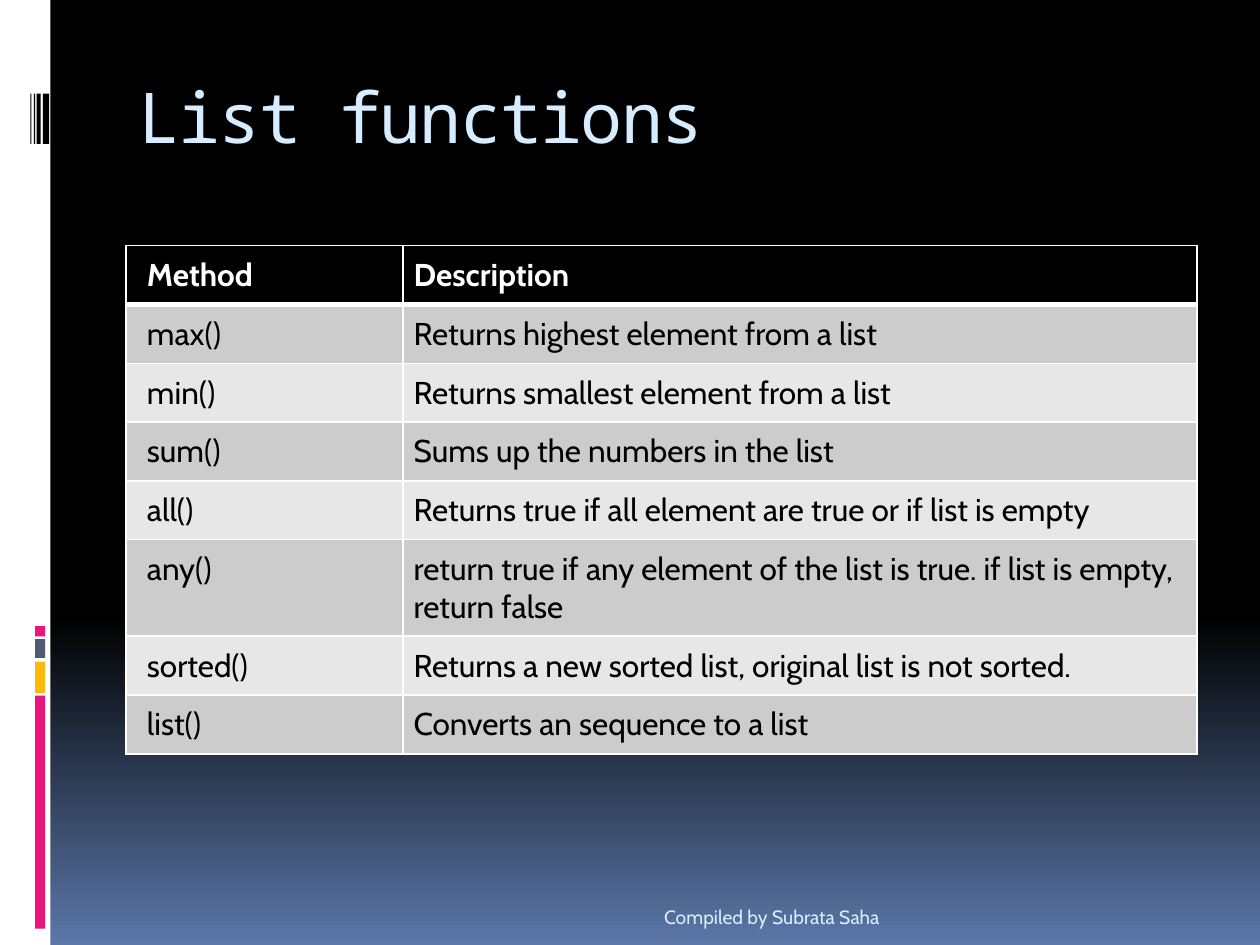
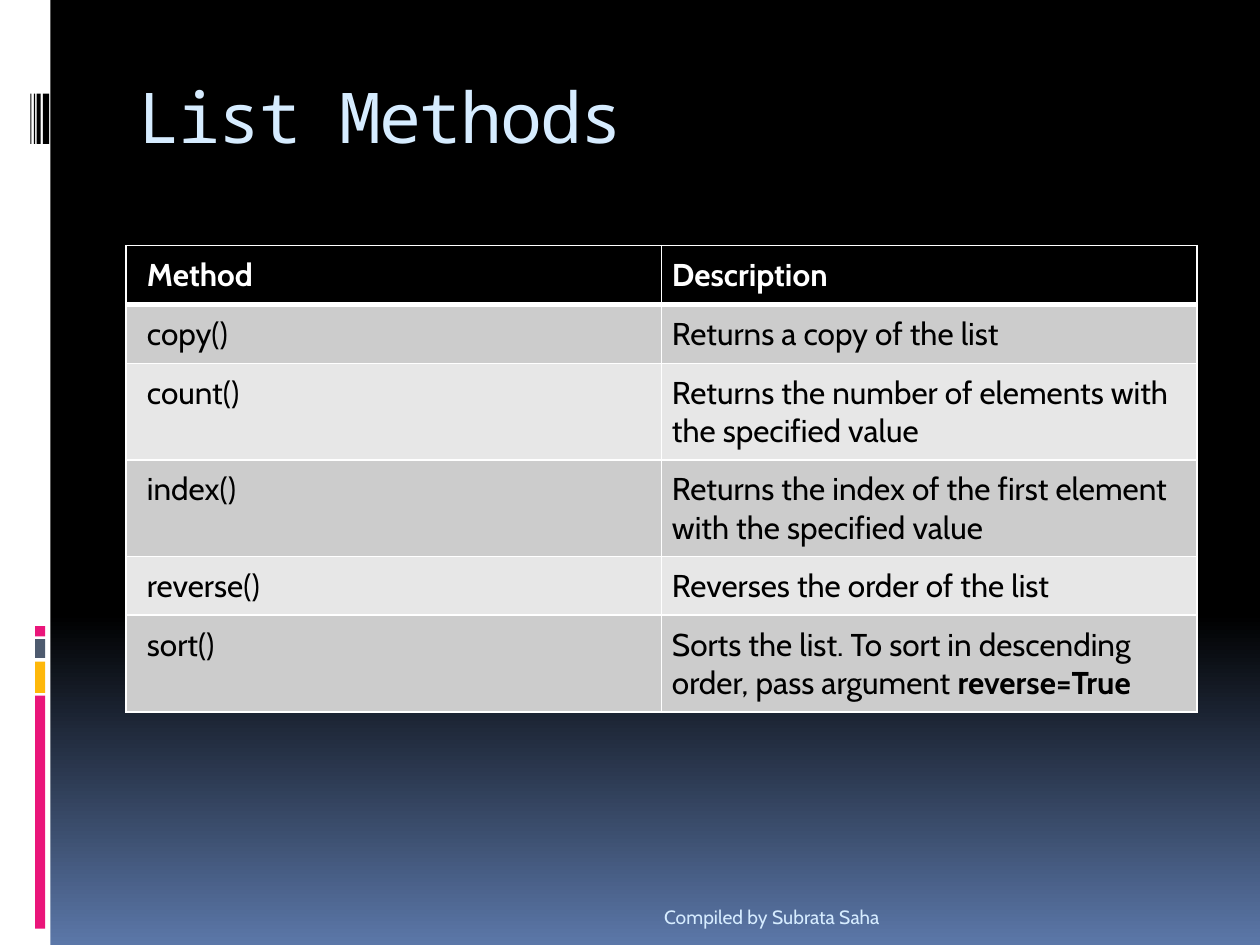
from copy import deepcopy

from lxml.etree import SubElement
from pptx import Presentation
from pptx.dml.color import RGBColor
from pptx.enum.shapes import MSO_SHAPE as Shape
from pptx.enum.text import MSO_ANCHOR as Anchor, PP_ALIGN as Align
from pptx.oxml.ns import qn
from pptx.util import Pt

COLORS = {
    "black": "000000", "white": "FFFFFF", "sky": "D6ECFF", "blue": "5B77A8",
    "pink": "EA157A", "amber": "FEB80A", "slate": "4E5B6F",
    "dark_row": "CCCCCC", "light_row": "E7E7E7",
}
TITLE_FONT, BODY_FONT = "Noto Sans Mono", "Cabin"
PAGE_WIDTH, PAGE_HEIGHT = 720, 540
LEFT, TABLE_TOP, ROW_HEIGHT = 72, 140.4, 29.5
SIDE_BARS = [("pink", 397.5, 133.2), ("amber", 378, 18), ("slate", 365.2, 10.8), ("pink", 357.8, 5.8)]
BARCODE = [(24.5, 3.6), (21, 2.2), (19.4, 0.7), (17.3, 0.7)]
HEADER = ("Method", "Description")
FUNCTIONS = [
    ("max()", "Returns highest element from a list"),
    ("min()", "Returns smallest element from a list"),
    ("sum()", "Sums up the numbers in the list"),
    ("all()", "Returns true if all element are true or if list is empty"),
    ("any()", "return true if any element of the list is true. if list is empty, return false"),
    ("sorted()", "Returns a new sorted list, original list is not sorted."),
    ("list()", "Converts an sequence to a list"),
]
METHODS = [
    ("copy()", "Returns a copy of the list"),
    ("count()", "Returns the number of elements with the specified value"),
    ("index()", "Returns the index of the first element with the specified value"),
    ("reverse()", "Reverses the order of the list"),
    ("sort()", "Sorts the list. To sort in descending order, pass argument ", "reverse=True"),
]


def color(name):
    """Return the named colour."""
    return RGBColor.from_string(COLORS[name])


def style(para, font, size, name, bold=False):
    """Set the font of a whole paragraph."""
    para.font.name, para.font.size, para.font.bold = font, Pt(size), bold
    para.font.color.rgb = color(name)


def add_background(page):
    """Fade the page from black to blue over its lower third."""
    fill = page.background.fill
    fill.gradient()
    fill.gradient_angle = 270
    first, last = fill.gradient_stops
    first.color.rgb, last.color.rgb = color("black"), color("blue")
    stops = page.element.find(".//" + qn("a:gsLst"))
    stops.insert(0, deepcopy(stops[0]))
    first.position = 0.65


def add_bar(page, name, left, top, width, height):
    """Draw a plain filled rectangle."""
    bar = page.shapes.add_shape(Shape.RECTANGLE, Pt(left), Pt(top), Pt(width), Pt(height))
    bar.shadow.inherit = False
    bar.fill.solid()
    bar.fill.fore_color.rgb = color(name)
    bar.line.fill.background()


def add_side_band(page):
    """Draw the white band with its coloured bars and barcode."""
    add_bar(page, "white", 0, 0, 28.8, PAGE_HEIGHT)
    for name, top, height in SIDE_BARS:
        add_bar(page, name, 20, top, 5.8, height)
    for left, width in BARCODE:
        add_bar(page, "black", left, 53.5, width, 28.8)


def add_text(page, text, top, width, height, font, size):
    """Add a sky blue text box at the left margin and return it."""
    box = page.shapes.add_textbox(Pt(LEFT), Pt(top), Pt(width), Pt(height))
    box.text_frame.word_wrap = True
    box.text_frame.text = text
    style(box.text_frame.paragraphs[0], font, size, "sky")
    return box


def add_title(page, text):
    """Add the slightly tightened slide title."""
    box = add_text(page, text, 40.5, 612, 72, TITLE_FONT, 40)
    box.text_frame.margin_top = Pt(1.5)
    box.text_frame.paragraphs[0].runs[0].font._element.set("spc", "-100")


def add_footer(page):
    """Add the right-aligned credit line."""
    frame = add_text(page, "Compiled by Subrata Saha", 505.5, 437.8, 28.8, BODY_FONT, 11).text_frame
    frame.vertical_anchor = Anchor.BOTTOM
    frame.paragraphs[0].alignment = Align.RIGHT


def add_borders(cell, top, bottom):
    """Give a cell white borders, with top and bottom widths in points."""
    props = cell._tc.get_or_add_tcPr()
    for side, width in (("L", 1), ("R", 1), ("T", top), ("B", bottom)):
        line = SubElement(props, qn("a:ln" + side), w=str(Pt(width)))
        fill = SubElement(line, qn("a:solidFill"))
        SubElement(fill, qn("a:srgbClr"), val=COLORS["white"])


def fill_cell(cell, texts, row, column):
    """Write a cell and format it by its place in the table."""
    cell.margin_left = Pt(12 if column == 0 else 6)
    cell.margin_right = cell.margin_top = cell.margin_bottom = Pt(6)
    add_borders(cell, 3 if row == 1 else 1, 3 if row == 0 else 1)
    cell.fill.solid()
    band = "dark_row" if row % 2 else "light_row"
    cell.fill.fore_color.rgb = color("black" if row == 0 else band)
    para = cell.text_frame.paragraphs[0]
    style(para, BODY_FONT, 18, "black" if row else "white", row == 0)
    for index, text in enumerate(texts):
        span = para.add_run()
        span.text = text
        if index:
            span.font.bold = True


def add_method_table(page, rows, widths):
    """Add the table of names and descriptions."""
    rows = [HEADER, *rows]
    table = page.shapes.add_table(
        len(rows), len(widths), Pt(LEFT), Pt(TABLE_TOP), Pt(sum(widths)), Pt(ROW_HEIGHT * len(rows))
    ).table
    for column, width in zip(table.columns, widths):
        column.width = Pt(width)
    for row, (name, *description) in enumerate(rows):
        fill_cell(table.cell(row, 0), [name], row, 0)
        fill_cell(table.cell(row, 1), description, row, 1)


def add_page(deck, title, rows, widths):
    """Add one complete slide."""
    page = deck.slides.add_slide(deck.slide_layouts[6])
    add_background(page)
    add_side_band(page)
    add_title(page, title)
    add_method_table(page, rows, widths)
    add_footer(page)


def main():
    """Build and save the deck."""
    deck = Presentation()
    deck.slide_width, deck.slide_height = Pt(PAGE_WIDTH), Pt(PAGE_HEIGHT)
    add_page(deck, "List functions", FUNCTIONS, (158.4, 453.6))
    add_page(deck, "List Methods", METHODS, (306, 306))
    deck.save("out.pptx")


main()
